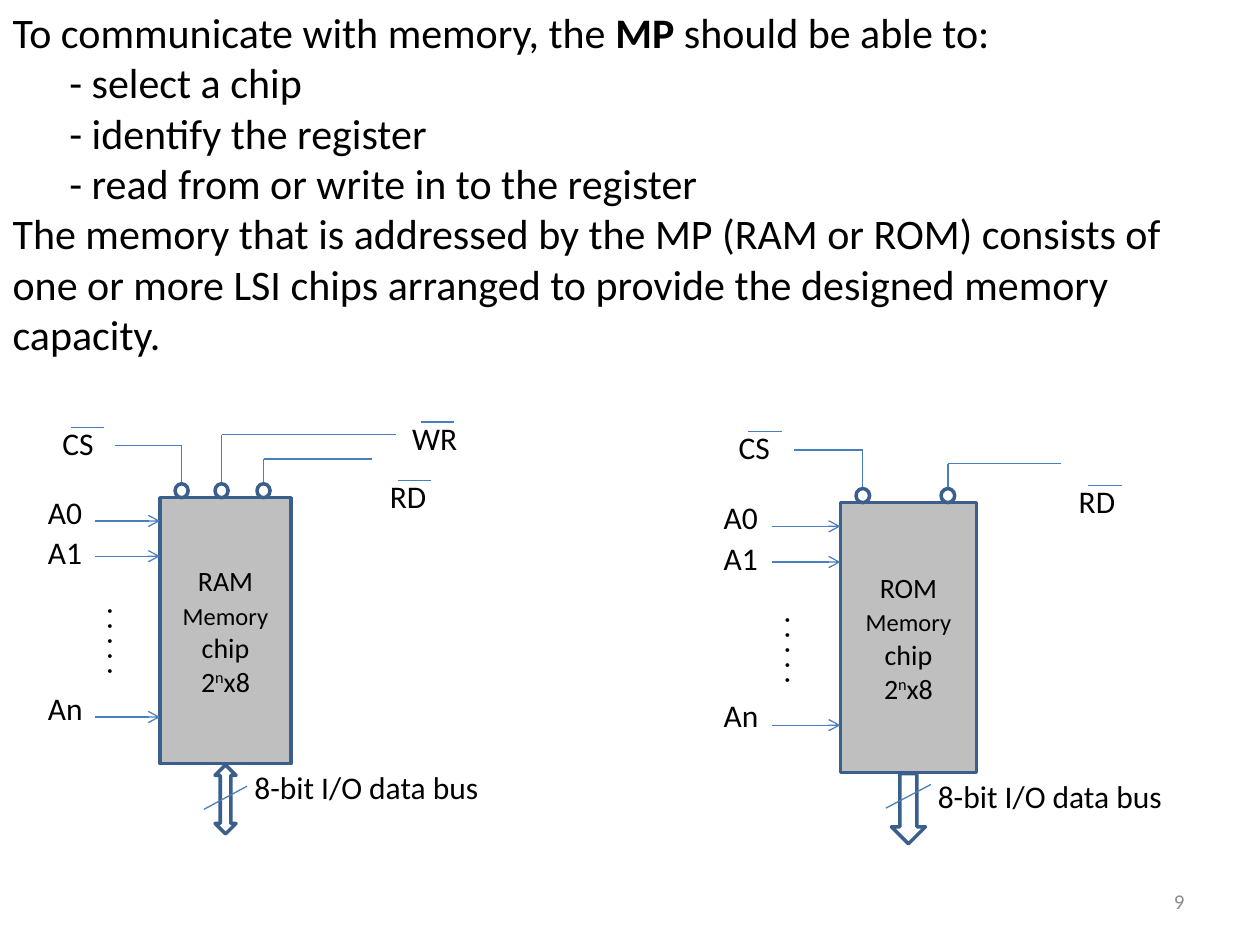
from dataclasses import dataclass

from lxml import etree
from pptx import Presentation
from pptx.dml.color import RGBColor
from pptx.enum.shapes import MSO_CONNECTOR, MSO_SHAPE
from pptx.enum.text import MSO_ANCHOR, MSO_AUTO_SIZE, PP_ALIGN
from pptx.oxml.ns import qn
from pptx.util import Inches, Pt

RECTANGLE = MSO_SHAPE.RECTANGLE
BUBBLE = MSO_SHAPE.FLOWCHART_CONNECTOR
TWO_WAY_ARROW = MSO_SHAPE.UP_DOWN_ARROW
DOWN_ARROW = MSO_SHAPE.DOWN_ARROW
STRAIGHT = MSO_CONNECTOR.STRAIGHT
CENTER, RIGHT = PP_ALIGN.CENTER, PP_ALIGN.RIGHT
TOP, MIDDLE = MSO_ANCHOR.TOP, MSO_ANCHOR.MIDDLE
NO_AUTOFIT = MSO_AUTO_SIZE.NONE

BLACK = RGBColor(0x00, 0x00, 0x00)
GREY = RGBColor(0xBF, 0xBF, 0xBF)
NUMBER_GREY = RGBColor(0x8C, 0x8C, 0x8C)
OUTLINE = RGBColor(0x3A, 0x5F, 0x8C)
WIRE = RGBColor(0x4B, 0x7E, 0xBC)

SLIDE_WIDTH, SLIDE_HEIGHT = Inches(10), Inches(7.5)
CHIP_COLUMNS, CHIP_ROWS = 100, 200
LABEL_ROWS = 42

INTRO = [
    (0, [("To communicate with memory, the ", {}), ("MP", {"bold": True}),
         (" should be able to:", {})]),
    (0.45, [("- select a chip", {})]),
    (0.45, [("- identify the register", {})]),
    (0.45, [("- read from or write in to the register", {})]),
    (0, [("The memory that is addressed by the MP (RAM or ROM) consists of one or "
          "more LSI chips arranged to provide the designed memory capacity.", {})]),
]
ADDRESS_LINES = [("A0", 17.5, -8.5), ("A1", 44, 22), ("An", 165, 139)]


@dataclass
class Signal:
    name: str
    wire_column: float
    wire_row: float
    wire_end: float
    label_column: float
    label_row: float
    label_columns: float


CS = Signal("CS", 16.5, -39, -34, -84, -60, 55)
WR = Signal("WR", 47, -47.5, 180, 183, -64, 62)
RD = Signal("RD", 79, -29, 162, 166, -20, 57)


@dataclass
class ChipGrid:
    shapes: object
    left: float
    top: float
    width: float
    height: float

    def point(self, column, row):
        return (Inches(self.left + column * self.width / CHIP_COLUMNS),
                Inches(self.top + row * self.height / CHIP_ROWS))

    def box(self, column, row, columns, rows):
        return (*self.point(column, row),
                Inches(columns * self.width / CHIP_COLUMNS),
                Inches(rows * self.height / CHIP_ROWS))


def add_run(paragraph, text, size, color=BLACK, **extra):
    run = paragraph.add_run()
    run.text = text
    run.font.color.rgb = color
    for attribute, value in {"name": "Calibri", "size": Pt(size), **extra}.items():
        setattr(run.font, attribute, value)
    return run


def add_outlined(grid, kind, *cells):
    shape = grid.shapes.add_shape(kind, *grid.box(*cells))
    shape.shadow.inherit = False
    shape.fill.background()
    shape.line.color.rgb = OUTLINE
    shape.line.width = Pt(2)
    return shape


def add_wire(grid, start, end, arrow=False):
    wire = grid.shapes.add_connector(STRAIGHT, *grid.point(*start), *grid.point(*end))
    wire.line.color.rgb = WIRE
    wire.line.width = Pt(0.75)
    if arrow:
        etree.SubElement(wire.line._get_or_add_ln(), qn("a:tailEnd"), type="arrow")
    etree.SubElement(wire._element.spPr, qn("a:effectLst"))


def add_label(grid, text, *cells, rotation=0):
    label = grid.shapes.add_textbox(*grid.box(*cells))
    label.rotation = rotation
    label.text_frame.word_wrap = False
    add_run(label.text_frame.paragraphs[0], text, 18)


def add_signal(grid, signal):
    corner = (signal.wire_column, signal.wire_row)
    add_outlined(grid, BUBBLE, signal.wire_column - 5, -10.5, 10, 10.5)
    add_wire(grid, corner, (signal.wire_column, -12))
    add_wire(grid, corner, (signal.wire_end, signal.wire_row))
    add_label(grid, signal.name, signal.label_column, signal.label_row,
              signal.label_columns, LABEL_ROWS)
    bar_column, bar_row = signal.label_column + 16, signal.label_row + 7
    add_wire(grid, (bar_column, bar_row), (bar_column + 25, bar_row))


def add_chip_body(grid, kind):
    body = add_outlined(grid, RECTANGLE, 0, 0, CHIP_COLUMNS, CHIP_ROWS)
    body.fill.solid()
    body.fill.fore_color.rgb = GREY
    frame = body.text_frame
    frame.word_wrap = True
    frame.vertical_anchor = MIDDLE
    lines = [[(kind, 16)], [("Memory", 14), (" chip", 16)],
             [("2", 16), ("n", 16), ("x8", 16)]]
    for index, line in enumerate(lines):
        paragraph = frame.add_paragraph() if index else frame.paragraphs[0]
        paragraph.alignment = CENTER
        for text, size in line:
            run = add_run(paragraph, text, size)
            if text == "n":
                run.font._element.set("baseline", "30000")


def add_chip(slide, kind, place, signals, bus_kind, bus_columns, slash_row):
    grid = ChipGrid(slide.shapes.add_group_shape().shapes, *place)
    add_chip_body(grid, kind)
    for name, row, label_row in ADDRESS_LINES:
        add_wire(grid, (-50, row), (0, row), arrow=True)
        add_label(grid, name, -95, label_row, 51, LABEL_ROWS)
    add_label(grid, ". . . . .", -89.5, 79.5, 88, 40, rotation=270)
    for signal in signals:
        add_signal(grid, signal)
    add_outlined(grid, bus_kind, 50 - bus_columns / 2, 201, bus_columns, 52)
    add_wire(grid, (66.5, slash_row), (33.5, slash_row + 17.5))
    add_label(grid, "8-bit I/O data bus", 62.5, 198.5, 214, LABEL_ROWS)


def add_intro(slide):
    body = slide.placeholders[1]
    place = {"left": 0, "top": 0, "width": Inches(9.65), "height": Inches(2.93)}
    for attribute, value in place.items():
        setattr(body, attribute, value)
    frame = body.text_frame
    frame.auto_size = NO_AUTOFIT
    frame.vertical_anchor = TOP
    for index, (indent, runs) in enumerate(INTRO):
        paragraph = frame.add_paragraph() if index else frame.paragraphs[0]
        properties = paragraph._p.get_or_add_pPr()
        properties.set("marL", str(Inches(indent)))
        properties.set("indent", "0")
        etree.SubElement(properties, qn("a:buNone"))
        paragraph.space_before = Pt(0)
        for text, extra in runs:
            add_run(paragraph, text, 24, **extra)


def add_page_number(slide):
    number = slide.shapes.add_textbox(Inches(7.17), Inches(6.95), Inches(2.33), Inches(0.4))
    number.text_frame.word_wrap = True
    number.text_frame.vertical_anchor = MIDDLE
    paragraph = number.text_frame.paragraphs[0]
    paragraph.alignment = RIGHT
    add_run(paragraph, "9", 12, NUMBER_GREY)


def main():
    deck = Presentation()
    deck.slide_width, deck.slide_height = SLIDE_WIDTH, SLIDE_HEIGHT
    slide = deck.slides.add_slide(deck.slide_layouts[1])
    title = slide.shapes.title._element
    title.getparent().remove(title)
    add_intro(slide)
    add_chip(slide, "RAM", (1.27, 3.95, 1.04, 2.11), [CS, WR, RD], TWO_WAY_ARROW, 16, 217)
    add_chip(slide, "ROM", (6.67, 3.99, 1.08, 2.14), [CS, RD], DOWN_ARROW, 25, 209)
    add_page_number(slide)
    deck.save("out.pptx")


if __name__ == "__main__":
    main()
